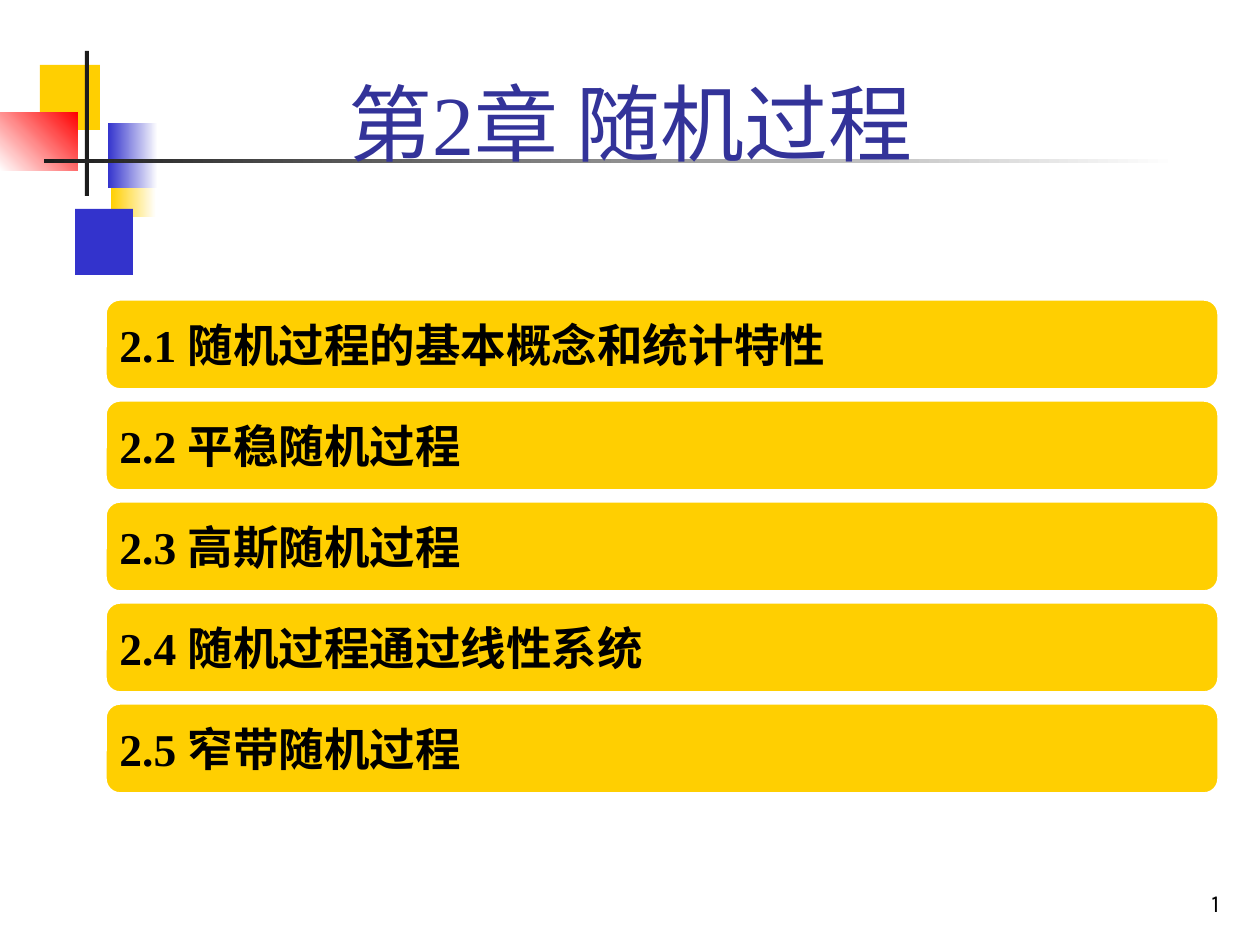
from pptx import Presentation
from pptx.dml.color import RGBColor
from pptx.enum.shapes import MSO_SHAPE as Shape
from pptx.enum.text import MSO_ANCHOR as Anchor, PP_ALIGN as Align
from pptx.util import Emu, Pt

PX_PER_INCH = 126
YELLOW, BLUE, RED = "FFCF01", "3333CC", "FF0000"
WHITE, BLACK, CHARCOAL, TITLE_BLUE = "FFFFFF", "000000", "1C1C1C", "333399"
SERIF = "Times New Roman"

# (left, top, width, height), colours from first to last, angle
ORNAMENTS = [
    ((111, 151, 45, 66), (YELLOW, WHITE), 0),
    ((75, 209, 58, 66), (BLUE,), 0),
    ((40, 65, 60, 65), (YELLOW,), 0),
    ((108, 123, 50, 65), (BLUE, WHITE), 0),
    ((0, 112, 78, 59), (WHITE, RED), 45),
    ((85, 51, 4, 145), (CHARCOAL,), 0),
    ((44, 159, 1134, 4), (CHARCOAL, WHITE), 0),
]
SECTIONS = [
    "2.1 随机过程的基本概念和统计特性",
    "2.2 平稳随机过程",
    "2.3 高斯随机过程",
    "2.4 随机过程通过线性系统",
    "2.5 窄带随机过程",
]
BAR_LEFT, BAR_TOP, BAR_WIDTH, BAR_HEIGHT, BAR_PITCH = 105, 299, 1114, 91, 101
BAR_INSET = 10


def px(length):
    return Emu(round(length * 914400 / PX_PER_INCH))


def color(value):
    return RGBColor.from_string(value)


def add_block(slide, kind, box, colors, angle=0):
    """Add a borderless shape, with a gradient if two colours are given."""
    block = slide.shapes.add_shape(kind, *map(px, box))
    block.shadow.inherit = False
    block.line.fill.background()
    if len(colors) == 1:
        block.fill.solid()
        block.fill.fore_color.rgb = color(colors[0])
    else:
        block.fill.gradient()
        block.fill.gradient_angle = angle
        for stop, value in zip(block.fill.gradient_stops, colors):
            stop.color.rgb = color(value)
    return block


def write(frame, text, size, font, ink, align, anchor, bold=False):
    frame.word_wrap = True
    frame.vertical_anchor = anchor
    paragraph = frame.paragraphs[0]
    paragraph.text = text
    paragraph.alignment = align
    paragraph.font.size = Pt(size)
    paragraph.font.name = font
    paragraph.font.bold = bold
    paragraph.font.color.rgb = color(ink)


def add_label(slide, box, text, size, font, ink, align):
    label = slide.shapes.add_textbox(*map(px, box))
    write(label.text_frame, text, size, font, ink, align, Anchor.BOTTOM)


def add_section_bar(slide, index, text):
    box = (BAR_LEFT, BAR_TOP + index * BAR_PITCH, BAR_WIDTH, BAR_HEIGHT)
    bar = add_block(slide, Shape.ROUNDED_RECTANGLE, box, (YELLOW,))
    bar.line.color.rgb = color(WHITE)
    bar.line.width = Pt(2)
    frame = bar.text_frame
    frame.margin_left = frame.margin_right = px(BAR_INSET)
    frame.margin_top = frame.margin_bottom = px(BAR_INSET)
    write(frame, text, 26, SERIF, BLACK, Align.LEFT, Anchor.MIDDLE, bold=True)


def main():
    deck = Presentation()
    deck.slide_width, deck.slide_height = px(1260), px(945)
    slide = deck.slides.add_slide(deck.slide_layouts[6])

    for box, colors, angle in ORNAMENTS:
        add_block(slide, Shape.RECTANGLE, box, colors, angle)
    add_label(slide, (970, 861, 262, 63), "1", 14, "Karla", BLACK, Align.RIGHT)
    add_label(slide, (42, 21, 1177, 158), "第2章 随机过程", 48, SERIF,
              TITLE_BLUE, Align.CENTER)
    for index, text in enumerate(SECTIONS):
        add_section_bar(slide, index, text)

    deck.save("out.pptx")


if __name__ == "__main__":
    main()
